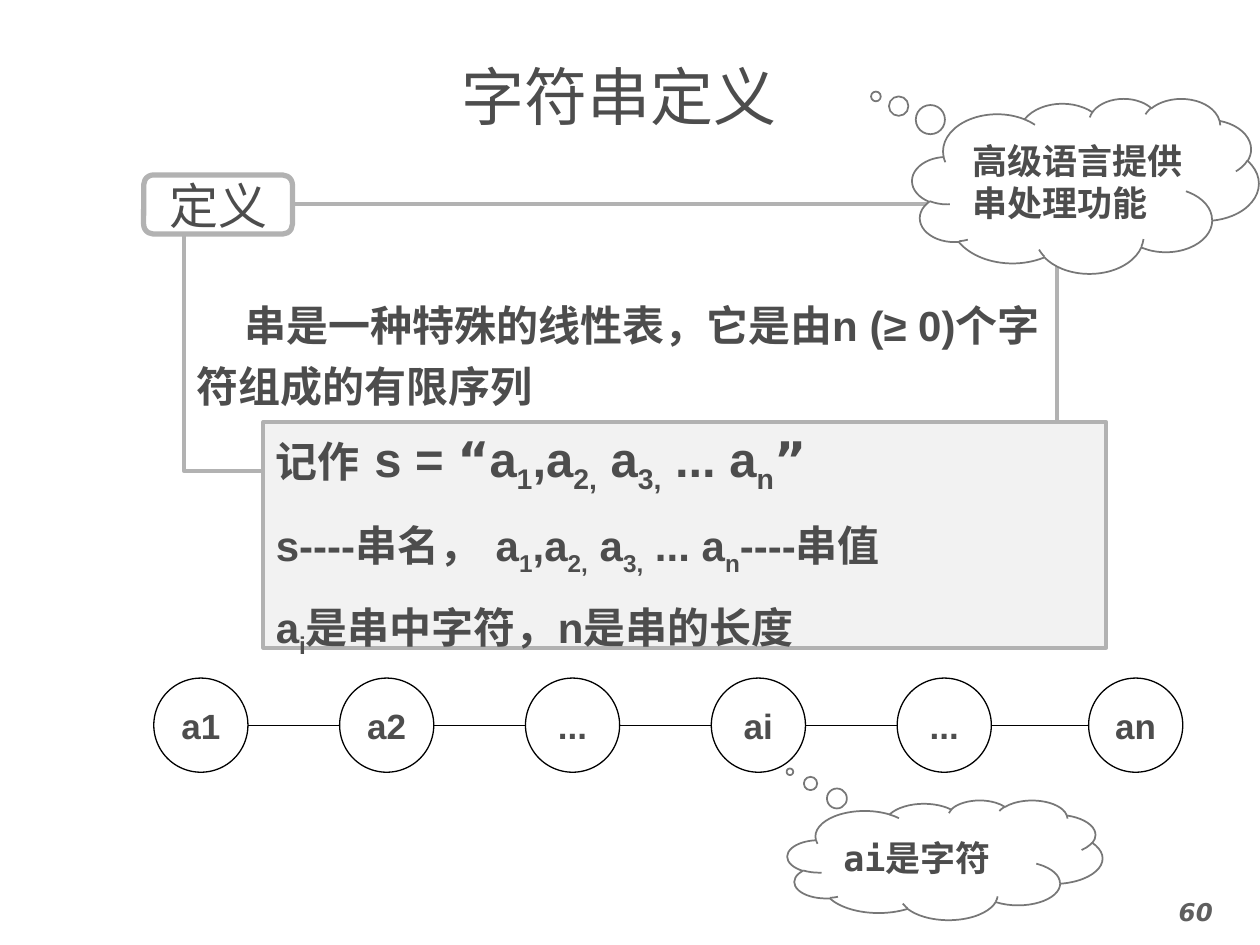
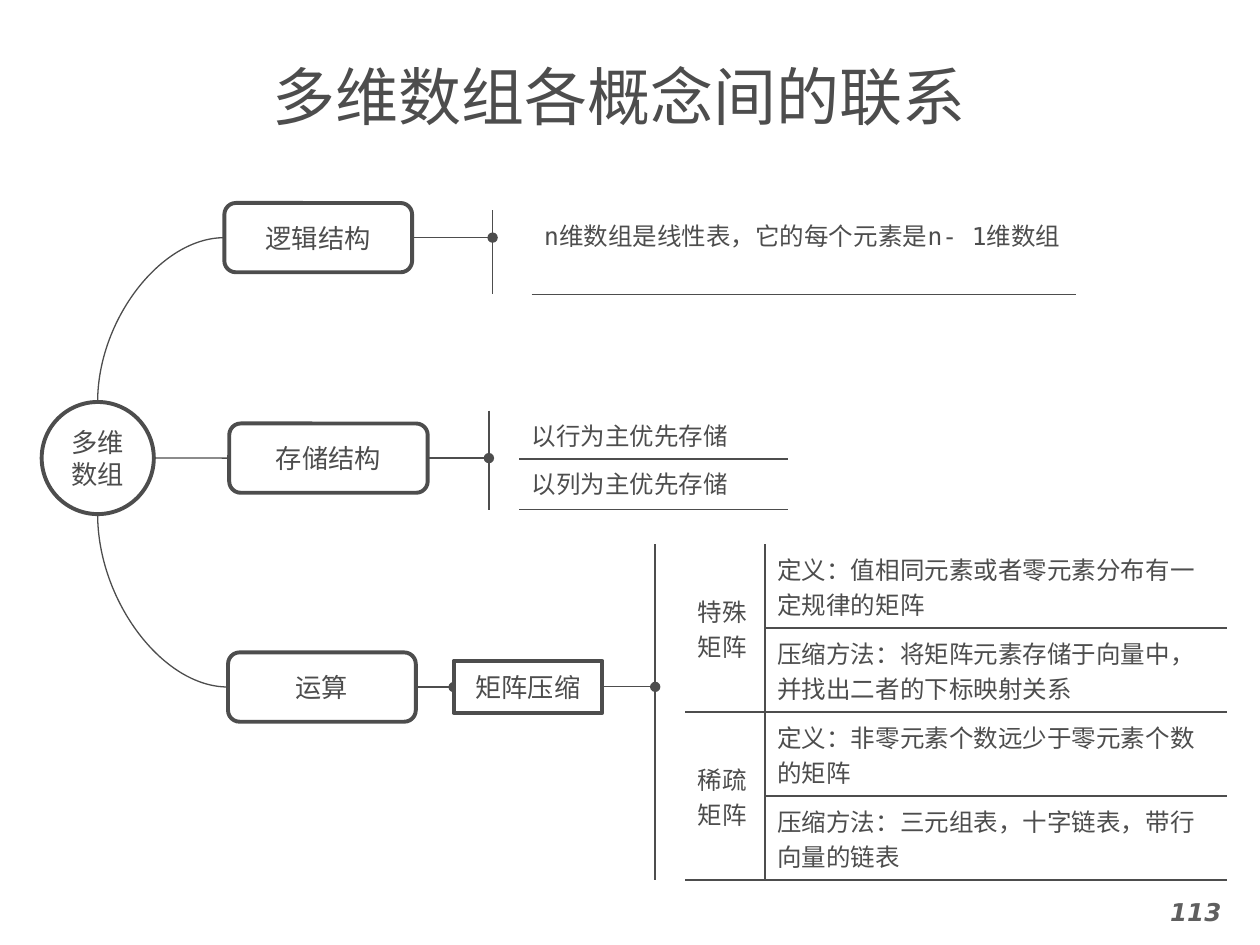
import lxml.etree
import pptx
import pptx.dml.color
import pptx.enum.shapes
import pptx.enum.text
import pptx.oxml.ns
import pptx.util

Pt = pptx.util.Pt
qn = pptx.oxml.ns.qn
SHAPES = pptx.enum.shapes.MSO_SHAPE
LINES = pptx.enum.shapes.MSO_CONNECTOR
ALIGN = pptx.enum.text.PP_ALIGN
ANCHOR = pptx.enum.text.MSO_ANCHOR

INK, WHITE, BLACK = "4D4D4D", "FFFFFF", "000000"
FRAME_GREY, PANEL_GREY, CLOUD_GREY, NUMBER_GREY = "B2B2B2", "F2F2F2", "777777", "5F5F5F"
SANS, MONO, PLAIN, CJK = "DejaVu Sans", "DejaVu Sans Mono", "Arial", "Noto Sans CJK SC"
NO_TABLE_STYLE = "{2D5ABB26-0587-4C30-8999-92F81FD0307C}"

DEFINITION = "串是一种特殊的线性表，它是由n (≥ 0)个字符组成的有限序列"
NOTATION = [
    [(24, "记作 "), (28, "s = “a_1_,a_2,_ a_3,_ ... a_n_”")],
    [(24, "s----串名， a_1_,a_2,_ a_3,_ ... a_n_----串值")],
    [(24, "a_i_是串中字符，n是串的长度")],
]
CHAIN = ["a1", "a2", "...", "ai", "...", "an"]
CLOUDS = [
    ("高级语言提供\n串处理功能", (521.3, 56.2, 198, 100), (-0.605, -0.511), "Courier New"),
    ("ai是字符", (450, 457.2, 180, 68.4), (-0.492, -0.737), MONO),
]

ROOT = ("多维数组", (23.8, 229.7, 64.1, 64.1))
BRANCHES = [
    ("逻辑结构", (128.2, 116, 107.3, 39.6), 281.5),
    ("存储结构", (131, 242, 113.4, 39.6), 279.4),
    ("运算", (130.3, 372.8, 107.3, 39.6), 259.2),
]
COMPRESSION = ("矩阵压缩", (259.2, 377.6, 85, 29.8), 374.4)
TABLES = [
    dict(at=(281.5, 120.2), cols=[22.3, 311], rows=[48], font=MONO, merges=[],
         texts=[["", "n维数组是线性表，它的每个元素是n- 1维数组"]]),
    dict(at=(279.4, 234.7), cols=[16.6, 153.4], rows=[27.5, 29], font=PLAIN, merges=[],
         texts=[["", "以行为主优先存储"], ["", "以列为主优先存储"]]),
    dict(at=(374.4, 311), cols=[16.6, 45.4, 264.2], rows=[48] * 4, font=MONO,
         merges=[(0, 0), (0, 1), (2, 1)],
         texts=[["", "特殊矩阵", "定义：值相同元素或者零元素分布有一定规律的矩阵"],
                ["", "", "压缩方法：将矩阵元素存储于向量中，并找出二者的下标映射关系"],
                ["", "稀疏矩阵", "定义：非零元素个数远少于零元素个数的矩阵"],
                ["", "", "压缩方法：三元组表，十字链表，带行向量的链表"]]),
]


def color(value):
    return pptx.dml.color.RGBColor.from_string(value)


def style_run(run, size, font, bold=False, ink=INK, asian=SANS):
    run.font.size = Pt(size)
    run.font.bold = bold
    run.font.color.rgb = color(ink)
    run.font.name = font
    lxml.etree.SubElement(run.font._element, qn("a:ea"), typeface=asian)


def write(frame, text, size, font, align=ALIGN.CENTER, **style):
    frame.text = text
    for para in frame.paragraphs:
        para.alignment = align
        for run in para.runs:
            style_run(run, size, font, **style)


def add_page(deck, title, number):
    page = deck.slides.add_slide(deck.slide_layouts[5])
    heading = page.shapes.title
    heading.left, heading.top, heading.width, heading.height = map(Pt, (41.8, 29.5, 624.2, 50.4))
    heading.text_frame.vertical_anchor = ANCHOR.MIDDLE
    write(heading.text_frame, title, 36, MONO, asian=CJK)
    box = page.shapes.add_textbox(*map(Pt, (646.6, 509, 73.4, 31)))
    box.text_frame.word_wrap = True
    write(box.text_frame, number, 14, SANS, bold=True, ink=NUMBER_GREY)
    box.text_frame.paragraphs[0].runs[0].font.italic = True
    return page


def add_box(page, kind, at, line, width, fill=WHITE):
    box = page.shapes.add_shape(kind, *map(Pt, at))
    box.shadow.inherit = False
    box.fill.solid()
    box.fill.fore_color.rgb = color(fill)
    box.line.color.rgb = color(line)
    box.line.width = Pt(width)
    box.text_frame.vertical_anchor = ANCHOR.MIDDLE
    return box


def add_line(page, start, end, ink, dot=False, kind=LINES.STRAIGHT):
    line = page.shapes.add_connector(kind, *map(Pt, start + end))
    line.line.color.rgb = color(ink)
    line.line.width = Pt(0.75)
    properties = line._element.spPr
    if dot:
        lxml.etree.SubElement(properties.find(qn("a:ln")), qn("a:tailEnd"), type="oval")
    if kind == LINES.CURVE:
        properties.find(qn("a:prstGeom")).set("prst", "curvedConnector2")
    lxml.etree.SubElement(properties, qn("a:effectLst"))


def add_border(cell, side):
    line = lxml.etree.SubElement(cell._tc.get_or_add_tcPr(), qn("a:ln" + side), w=str(Pt(1)))
    fill = lxml.etree.SubElement(line, qn("a:solidFill"))
    lxml.etree.SubElement(fill, qn("a:srgbClr"), val=INK)


def add_lined_table(page, at, cols, rows, font, merges, texts):
    size = (sum(cols), sum(rows))
    table = page.shapes.add_table(len(rows), len(cols), *map(Pt, at + size)).table
    table.first_row = table.horz_banding = False
    table._tbl.tblPr.find(qn("a:tableStyleId")).text = NO_TABLE_STYLE
    for column, width in zip(table.columns, cols):
        column.width = Pt(width)
    for row, height in zip(table.rows, rows):
        row.height = Pt(height)
    for top, left in merges:
        table.cell(top, left).merge(table.cell(top + 1, left))
    for r, line in enumerate(texts):
        for c, text in enumerate(line):
            cell = table.cell(r, c)
            if text:
                write(cell.text_frame, text, 14, font, ALIGN.LEFT, asian=CJK)
            else:
                para = cell.text_frame.paragraphs[0]
                lxml.etree.SubElement(para._p, qn("a:endParaRPr"), sz="1400")
            if cell.is_merge_origin:
                cell.vertical_anchor = ANCHOR.MIDDLE
            if c != 1:
                add_border(cell, "L")
            if c == 1 and len(cols) > 2:
                add_border(cell, "R")
            if c and r and not cell.is_spanned:
                add_border(cell, "T")
            if c:
                add_border(cell, "B")
            cell.fill.background()


def build_string_page(deck):
    page = add_page(deck, "字符串定义", "60")

    frame = add_box(page, SHAPES.RECTANGLE, (105.1, 116.6, 499, 152.6), FRAME_GREY, 2.25).text_frame
    frame.vertical_anchor = ANCHOR.TOP
    frame.margin_top = Pt(49)
    write(frame, DEFINITION, 24, PLAIN, ALIGN.LEFT, bold=True)
    para = frame.paragraphs[0]
    para.line_spacing = 1.2
    para._p.get_or_add_pPr().set("indent", str(Pt(27.4)))

    label = add_box(page, SHAPES.ROUNDED_RECTANGLE, (82.1, 100, 85, 33.8), FRAME_GREY, 3)
    label.text_frame.word_wrap = False
    write(label.text_frame, "定义", 28, CJK)

    panel = add_box(page, SHAPES.RECTANGLE, (150.5, 241.2, 481.7, 128.9), FRAME_GREY, 2.25, PANEL_GREY)
    frame = panel.text_frame
    frame.vertical_anchor = ANCHOR.TOP
    for number, line in enumerate(NOTATION):
        para = frame.add_paragraph() if number else frame.paragraphs[0]
        para.alignment = ALIGN.LEFT
        if number:
            para.space_before = Pt(14)
        for size, marked in line:
            for piece, text in enumerate(marked.split("_")):
                run = para.add_run()
                run.text = text
                style_run(run, size, PLAIN, bold=True)
                if piece % 2:
                    run.font._element.set("baseline", "-25000")

    diameter, top = 53.8, 387.5
    lefts = [87.9 + 106.2 * place for place in range(5)] + [622.1]
    for left, name in zip(lefts, CHAIN):
        node = add_box(page, SHAPES.OVAL, (left, top, diameter, diameter), BLACK, 0.75)
        write(node.text_frame, name, 20, PLAIN, bold=True)
    middle = top + diameter / 2
    for left, following in zip(lefts, lefts[1:]):
        add_line(page, (left + diameter, middle), (following, middle), BLACK)

    for text, at, tip, font in CLOUDS:
        cloud = add_box(page, SHAPES.CLOUD_CALLOUT, at, CLOUD_GREY, 1)
        cloud.adjustments[0], cloud.adjustments[1] = tip
        cloud.text_frame.word_wrap = False
        write(cloud.text_frame, text, 20, font, ALIGN.LEFT, bold=True)


def build_array_page(deck):
    page = add_page(deck, "多维数组各概念间的联系", "113")
    for table in TABLES:
        add_lined_table(page, **table)

    name, (left, top, width, height) = ROOT
    center = left + width / 2
    anchors = [(center, top), (left + width, top + height / 2), (center, top + height)]
    for anchor, (_, at, _) in zip(anchors, BRANCHES):
        kind = LINES.CURVE if anchor[0] == center else LINES.STRAIGHT
        add_line(page, (at[0], at[1] + at[3] / 2), anchor, INK, kind=kind)

    steps = BRANCHES + [COMPRESSION]
    for _, at, target in steps:
        middle = at[1] + at[3] / 2
        add_line(page, (at[0] + at[2], middle), (target, middle), INK, dot=True)

    nodes = [(SHAPES.OVAL, name, ROOT[1])]
    nodes += [(SHAPES.ROUNDED_RECTANGLE, text, at) for text, at, _ in BRANCHES]
    nodes.append((SHAPES.RECTANGLE, *COMPRESSION[:2]))
    for kind, text, at in nodes:
        box = add_box(page, kind, at, INK, 2.25)
        write(box.text_frame, text, 15, CJK)


def main():
    deck = pptx.Presentation()
    deck.slide_width, deck.slide_height = Pt(720), Pt(540)
    build_string_page(deck)
    build_array_page(deck)
    deck.save("out.pptx")


if __name__ == "__main__":
    main()
